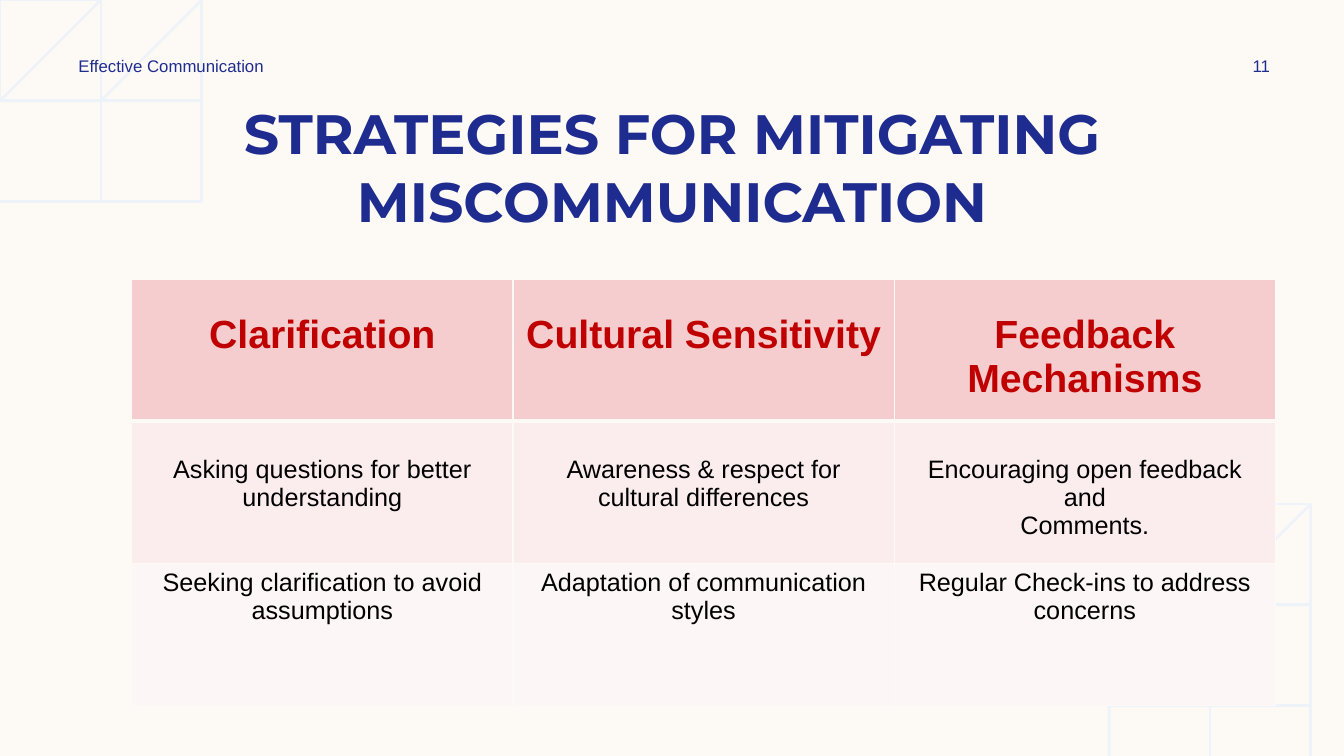
from math import asin, cos, pi, sin

from lxml import etree
from pptx import Presentation
from pptx.dml.color import RGBColor
from pptx.enum.text import MSO_ANCHOR, PP_ALIGN
from pptx.oxml.ns import qn
from pptx.util import Inches, Pt

TOP, MIDDLE = MSO_ANCHOR.TOP, MSO_ANCHOR.MIDDLE
LEFT, CENTER = PP_ALIGN.LEFT, PP_ALIGN.CENTER

WIDTH, HEIGHT = 13.33, 7.5
COLORS = {
    "paper": "FDFAF6",
    "ripple": "EEF3FA",
    "navy": "1F2C8F",
    "red": "C00000",
    "black": "000000",
    "header": "F5CDCE",
    "first": "FBEDED",
    "second": "FDF6F6",
}
FONTS = {
    "title": {"name": "Montserrat", "size": Pt(39.6), "bold": True},
    "label": {"name": "Arial", "size": Pt(12), "bold": False},
    "header": {"name": "Arial", "size": Pt(28), "bold": True},
    "body": {"name": "Arial", "size": Pt(18), "bold": False},
}
STRATEGIES = [
    ["Clarification", "Cultural Sensitivity", "Feedback Mechanisms"],
    [
        "Asking questions for better understanding",
        "Awareness & respect for cultural differences",
        "Encouraging open feedback and\nComments.",
    ],
    [
        "Seeking clarification to avoid assumptions",
        "Adaptation of communication styles",
        "Regular Check-ins to address concerns",
    ],
]
ROW_STYLES = [
    {"fill": "header", "font": "header", "color": "red", "top": 0.34},
    {"fill": "first", "font": "body", "color": "black", "top": 0.34},
    {"fill": "second", "font": "body", "color": "black", "top": 0.05},
]


def rgb(name):
    return RGBColor.from_string(COLORS[name])


def apply(target, values):
    for name, value in values.items():
        setattr(target, name, value)


def area(left, top, width, height):
    return [
        Inches(share * side / 100)
        for share, side in zip((left, top, width, height), (WIDTH, HEIGHT) * 2)
    ]


def write(frame, text, font, color, align, line_spacing=None):
    for index, line in enumerate(text.split("\n")):
        para = frame.add_paragraph() if index else frame.paragraphs[0]
        apply(para, {"alignment": align, "line_spacing": line_spacing})
        span = para.add_run()
        span.text = line
        apply(span.font, FONTS[font])
        span.font.color.rgb = rgb(color)


def add_text(page, place, text, font, align, anchor=MIDDLE, line_spacing=None):
    box = page.shapes.add_textbox(*area(*place))
    apply(box.text_frame, {"word_wrap": True, "vertical_anchor": anchor})
    write(box.text_frame, text, font, "navy", align, line_spacing)


def arc(radius, drop, steps=10):
    start = asin(drop / radius)
    angles = [start + (pi / 2 - start) * step / steps for step in range(steps + 1)]
    return [(radius * cos(angle), radius * sin(angle) - drop) for angle in angles]


def add_ripples(page, opposite, rings=17, drop=0.15, smallest=0.3, step=0.134):
    def locate(point):
        x, y = point
        return (WIDTH - x, HEIGHT - y) if opposite else (x, y)

    arcs = [
        [locate(point) for point in arc(smallest + ring * step, drop)]
        for ring in range(rings)
    ]
    builder = page.shapes.build_freeform(*arcs[0][0], scale=Inches(1))
    for index, points in enumerate(arcs):
        if index:
            builder.move_to(*points[0])
        builder.add_line_segments(points[1:], close=False)
    ripples = builder.convert_to_shape()
    ripples.shadow.inherit = False
    ripples.fill.background()
    ripples.line.color.rgb = rgb("ripple")
    ripples.line.width = Pt(1.8)


def add_border(cell, side, points):
    line = etree.SubElement(cell._tc.get_or_add_tcPr(), qn(f"a:ln{side}"), w=str(Pt(points)))
    fill = etree.SubElement(line, qn("a:solidFill"))
    etree.SubElement(fill, qn("a:srgbClr"), val=COLORS["paper"])


def add_strategy_table(page, place):
    frame = page.shapes.add_table(len(STRATEGIES), len(STRATEGIES[0]), *area(*place))
    for row, (texts, style) in enumerate(zip(STRATEGIES, ROW_STYLES)):
        widths = {"L": 1, "R": 1, "T": 3 if row == 1 else 1, "B": 3 if row == 0 else 1}
        for column, text in enumerate(texts):
            cell = frame.table.cell(row, column)
            apply(cell, {
                "margin_left": Inches(0.12),
                "margin_right": Inches(0.12),
                "margin_top": Inches(style["top"]),
                "vertical_anchor": TOP,
            })
            for side, points in widths.items():
                add_border(cell, side, points)
            cell.fill.solid()
            cell.fill.fore_color.rgb = rgb(style["fill"])
            write(cell.text_frame, text, style["font"], style["color"], CENTER)


def main():
    deck = Presentation()
    apply(deck, {"slide_width": Inches(WIDTH), "slide_height": Inches(HEIGHT)})
    page = deck.slides.add_slide(deck.slide_layouts[6])
    page.background.fill.solid()
    page.background.fill.fore_color.rgb = rgb("paper")
    for opposite in (False, True):
        add_ripples(page, opposite)
    add_text(page, (6.25, 12.2, 87.5, 11.2), "STRATEGIES FOR MITIGATING MISCOMMUNICATION",
             "title", CENTER, TOP, Pt(48.8))
    add_text(page, (5.1, 6.67, 26.25, 4), "Effective Communication", "label", LEFT)
    add_text(page, (89.8, 6.67, 8.1, 4), "11", "label", CENTER)
    add_strategy_table(page, (9.8, 36.93, 85.1, 56.4))
    deck.save("out.pptx")


if __name__ == "__main__":
    main()
